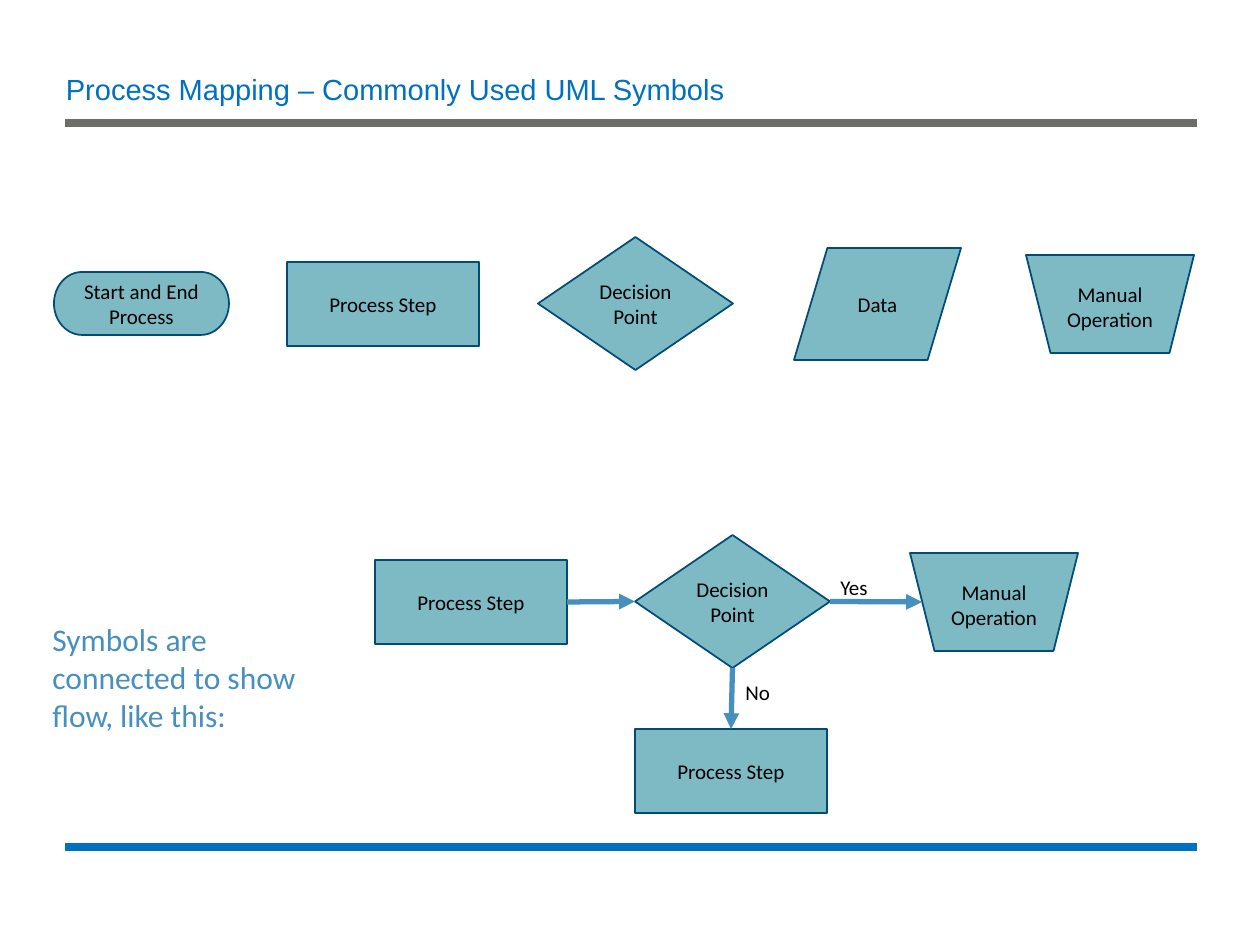
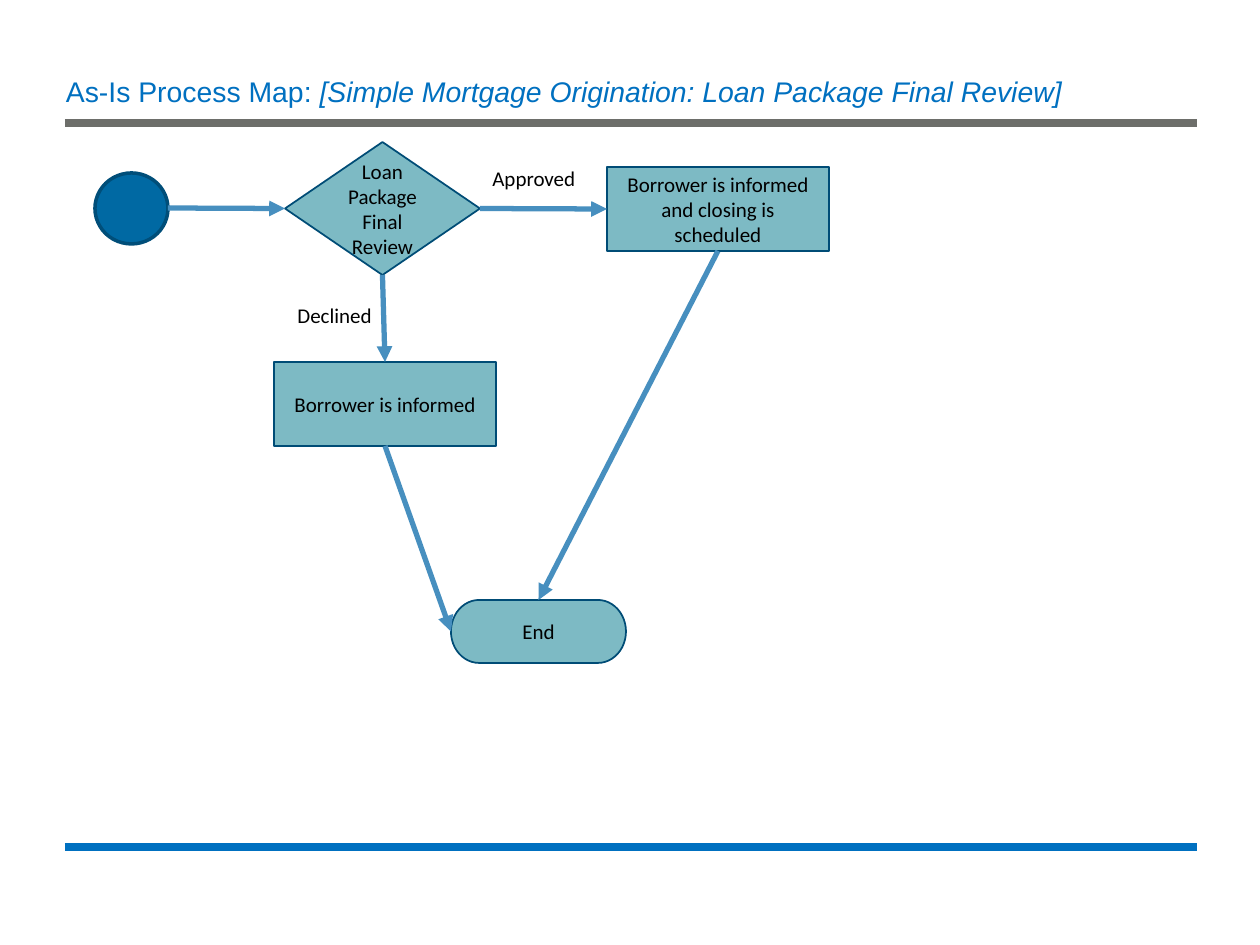
from lxml import etree
from pptx import Presentation, util as u
from pptx.dml.color import RGBColor
from pptx.enum import shapes, text

PX = u.Inches(1) / 126
INK = {"blue": "0070C0", "gray": "6D6E6A", "teal": "7DBAC4", "edge": "004C76",
       "flow": "478FBF", "text": "000000", "dot": "0069A3", "rim": "004E79"}
RGB = {name: RGBColor.from_string(code) for name, code in INK.items()}
KIND = shapes.MSO_SHAPE
STEP, TEST, ENDS = KIND.FLOWCHART_PROCESS, KIND.FLOWCHART_DECISION, KIND.FLOWCHART_TERMINATOR
TOP, LEFT, BASE, RIGHT = range(4)
MID, NEAR = text.PP_ALIGN.CENTER, text.PP_ALIGN.LEFT


def put(page, kind, box, words="", size=12, ink="text", font="Calibri", align=MID):
    area = [u.Emu(round(n * PX)) for n in box]
    if kind is None:
        item = page.shapes.add_textbox(*area)
    else:
        item = page.shapes.add_shape(kind, *area)
        item.shadow.inherit = False
        item.fill.solid()
        item.fill.fore_color.rgb = RGB["teal"]
        item.line.color.rgb = RGB["edge"]
        item.line.width = u.Pt(1)
    frame = item.text_frame
    frame.word_wrap = True
    para = frame.paragraphs[0]
    para.alignment = align
    for part in [words] if isinstance(words, str) else words:
        if part:
            run = para.add_run()
            run.text = part
            run.font.name, run.font.size = font, u.Pt(size)
            run.font.color.rgb = RGB[ink]
            run.font.italic = part.startswith("[")
    return item


def link(page, start, end, ink="flow", width=3, head=True):
    spots = [[round(n * PX) for n in spot] if isinstance(spot[0], int) else (0, 0)
             for spot in (start, end)]
    line = page.shapes.add_connector(shapes.MSO_CONNECTOR.STRAIGHT, *spots[0], *spots[1])
    if not isinstance(start[0], int):
        line.begin_connect(*start)
    if not isinstance(end[0], int):
        line.end_connect(*end)
    line.line.color.rgb = RGB[ink]
    line.line.width = u.Pt(width)
    props = line.line._get_or_add_ln()
    space = "{" + props.nsmap["a"] + "}"
    if head:
        etree.SubElement(props, space + "tailEnd", type="triangle")
    etree.SubElement(props.getparent(), space + "effectLst")


deck = Presentation()
deck.slide_width, deck.slide_height = u.Inches(10), u.Inches(7.5)

titles = [
    (["Process Mapping – Commonly Used UML Symbols"], 16.6, 0.7),
    (["As-Is Process Map: ", "[Simple Mortgage Origination: Loan Package Final Review]"], 16.2, 0.9),
]
pages = []
for words, size, gap in titles:
    page = deck.slides.add_slide(deck.slide_layouts[6])
    for y, ink in ((123, "gray"), (847, "blue")):
        link(page, (65, y), (1197, y), ink, 4.5, False)
    title = put(page, None, (66, 74, 1134, 38), words, size, "blue", "Arial", NEAR)
    frame = title.text_frame
    frame.margin_left = frame.margin_right = 0
    frame.vertical_anchor = text.MSO_ANCHOR.MIDDLE
    frame.paragraphs[0].line_spacing = gap
    pages.append(page)

key, map_ = pages
put(key, ENDS, (54, 272, 175, 63), "Start and End Process")
put(key, KIND.FLOWCHART_DATA, (794, 248, 167, 112), "Data")

rows = []
for step_x, test_x, hand_x, step_y, test_y, hand_y in (
        (287, 538, 1026, 262, 237, 255), (375, 635, 910, 560, 535, 553)):
    step = put(key, STEP, (step_x, step_y, 192, 84), "Process Step")
    test = put(key, TEST, (test_x, test_y, 195, 133), "Decision Point")
    hand = put(key, KIND.TRAPEZOID, (hand_x, hand_y, 168, 98))
    hand.rotation = 180
    put(key, None, (hand_x, hand_y + 20, 168, 63), "Manual Operation")
    rows.append((step, test))

step, test = rows[1]
last = put(key, STEP, (635, 729, 192, 84), "Process Step")
link(key, (step, RIGHT), (test, LEFT))
link(key, (test, RIGHT), (922, 602))
link(key, (test, BASE), (last, TOP))
put(key, None, (828, 568, 74, 38), "Yes", align=NEAR)
put(key, None, (733, 673, 53, 38), "No", align=NEAR)
put(key, None, (40, 614, 271, 127), "Symbols are connected to show flow, like this:",
    18, "flow", align=NEAR)

dot = put(map_, KIND.OVAL, (95, 173, 73, 71))
dot.fill.fore_color.rgb = RGB["dot"]
dot.line.color.rgb = RGB["rim"]
dot.line.width = u.Pt(2)
check = put(map_, TEST, (285, 142, 195, 133), "Loan Package Final Review")
close = put(map_, STEP, (607, 167, 222, 84), "Borrower is informed and closing is scheduled")
tell = put(map_, STEP, (274, 362, 222, 84), "Borrower is informed")
done = put(map_, ENDS, (451, 600, 175, 63), "End")
put(map_, None, (480, 159, 117, 38), "Approved", align=NEAR)
put(map_, None, (285, 296, 117, 38), "Declined", align=NEAR)
link(map_, (168, 208), (check, LEFT))
for start, side, end, port in ((check, RIGHT, close, LEFT), (check, BASE, tell, TOP),
                               (close, BASE, done, TOP), (tell, BASE, done, LEFT)):
    link(map_, (start, side), (end, port))

deck.save("out.pptx")
